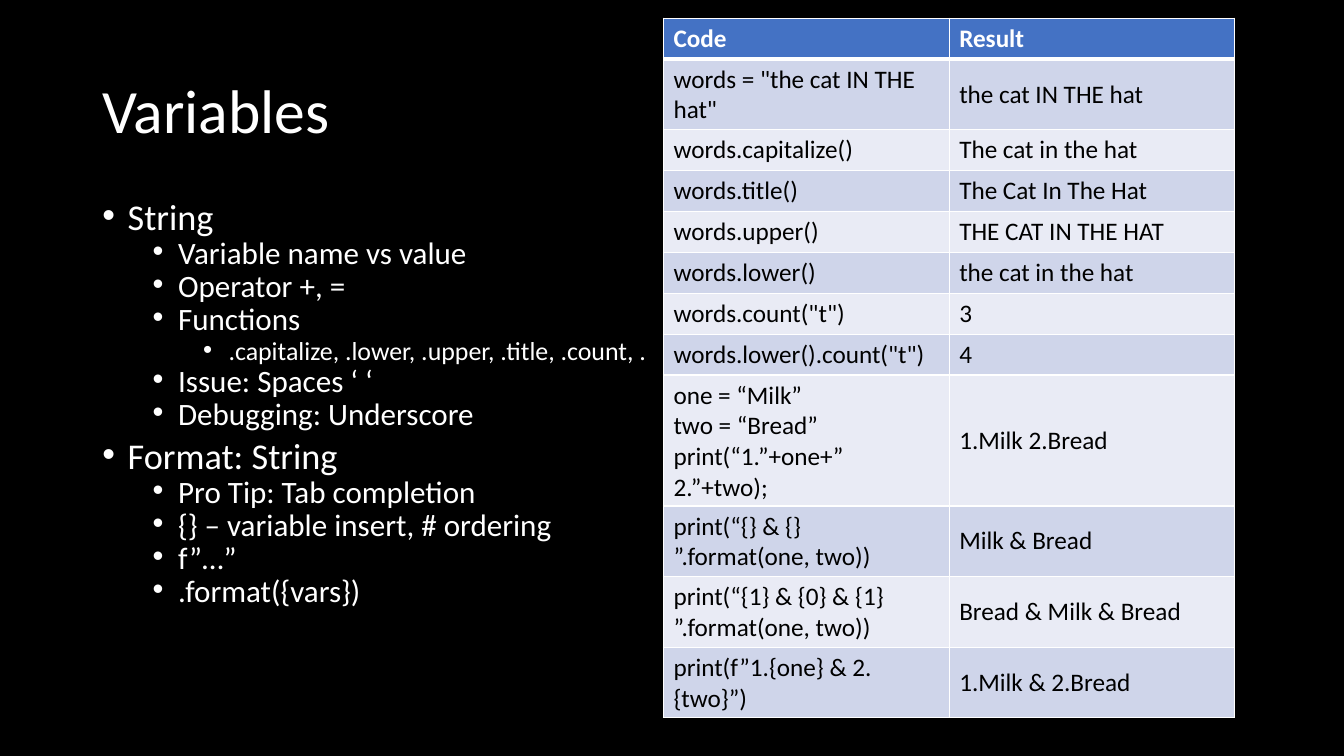
from lxml import etree
from pptx import Presentation
from pptx.dml.color import RGBColor
from pptx.enum import text
from pptx.oxml import ns
from pptx.util import Cm, Pt

FONT = "Calibri"
WHITE, BLACK, HEADER = "FFFFFF", "000000", "4472C4"
BANDS = ("CFD5EA", "E9EBF5")
LEVELS = ((25.9, 10), (22.2, 5), (18.5, 5))

TOPICS = (
    (0, "String"),
    (1, "Variable name vs value"),
    (1, "Operator +, ="),
    (1, "Functions"),
    (2, ".capitalize, .lower, .upper, .title, .count, ."),
    (1, "Issue: Spaces ‘ ‘"),
    (1, "Debugging: Underscore"),
    (0, "Format: String"),
    (1, "Pro Tip: Tab completion"),
    (1, "{} – variable insert, # ordering"),
    (1, "f”…”"),
    (1, ".format({vars})"),
)
EXAMPLES = (
    ("Code", "Result"),
    ('words = "the cat IN THE hat"', "the cat IN THE hat"),
    ("words.capitalize()", "The cat in the hat"),
    ("words.title()", "The Cat In The Hat"),
    ("words.upper()", "THE CAT IN THE HAT"),
    ("words.lower()", "the cat in the hat"),
    ('words.count("t")', "3"),
    ('words.lower().count("t")', "4"),
    ("one = “Milk”\ntwo = “Bread”\nprint(“1.”+one+” 2.”+two);", "1.Milk 2.Bread"),
    ("print(“{} & {} ”.format(one, two))", "Milk & Bread"),
    ("print(“{1} & {0} & {1} ”.format(one, two))", "Bread & Milk & Bread"),
    ("print(f”1.{one} & 2.{two}”)", "1.Milk & 2.Bread"),
)


def color(value):
    """Turn a hex string into a colour."""
    return RGBColor.from_string(value)


def style(paragraph, size, ink, bold=False):
    """Format every run of a paragraph."""
    for run in paragraph.runs:
        run.font.name, run.font.size, run.font.bold = FONT, Pt(size), bold
        run.font.color.rgb = color(ink)


def text_frame(slide, box):
    """Add a wrapping text box and return its frame."""
    frame = slide.shapes.add_textbox(*map(Cm, box)).text_frame
    frame.word_wrap = True
    return frame


def add_heading(slide, box):
    """Place the slide heading, centred vertically in its box."""
    heading = text_frame(slide, box)
    heading.vertical_anchor = text.MSO_ANCHOR.MIDDLE
    heading.text = "Variables"
    heading.paragraphs[0].line_spacing = 0.9
    style(heading.paragraphs[0], 44, WHITE)


def add_topics(slide, box):
    """Place the three-level bulleted topics."""
    outline = text_frame(slide, box)
    outline.text = "\n".join(topic for _, topic in TOPICS)
    for paragraph, (level, _) in zip(outline.paragraphs, TOPICS):
        size, gap = LEVELS[level]
        paragraph.level = level
        paragraph.line_spacing, paragraph.space_before = 0.7, Pt(gap)
        style(paragraph, size, WHITE)
        props = paragraph._p.get_or_add_pPr()
        props.set("marL", str(Cm(0.64 + 1.27 * level)))
        props.set("indent", str(-Cm(0.64)))
        etree.SubElement(props, ns.qn("a:buFont"), typeface="Arial")
        etree.SubElement(props, ns.qn("a:buChar"), char="•")


def add_borders(cell, top, bottom):
    """Draw white borders with the given top and bottom widths."""
    props = cell._tc.get_or_add_tcPr()
    for side, width in (("L", 1), ("R", 1), ("T", top), ("B", bottom)):
        line = etree.SubElement(props, ns.qn("a:ln" + side), w=str(Pt(width)))
        fill = etree.SubElement(line, ns.qn("a:solidFill"))
        etree.SubElement(fill, ns.qn("a:srgbClr"), val=WHITE)


def add_examples(slide, box):
    """Place the banded table of code and results."""
    examples = slide.shapes.add_table(len(EXAMPLES), 2, *map(Cm, box)).table
    for row, values in enumerate(EXAMPLES):
        header = row == 0
        for column, value in enumerate(values):
            cell = examples.cell(row, column)
            cell.text_frame.text = value
            cell.vertical_anchor = text.MSO_ANCHOR.MIDDLE
            add_borders(cell, 3 if row == 1 else 1, 3 if header else 1)
            cell.fill.solid()
            cell.fill.fore_color.rgb = color(HEADER if header else BANDS[(row - 1) % 2])
            for paragraph in cell.text_frame.paragraphs:
                style(paragraph, 18, WHITE if header else BLACK, header)


def add_variables_slide(deck):
    """Build the slide on string variables."""
    slide = deck.slides.add_slide(deck.slide_layouts[6])
    slide.background.fill.solid()
    slide.background.fill.fore_color.rgb = color(BLACK)
    add_heading(slide, (2.33, 1.01, 29.21, 3.68))
    add_topics(slide, (2.33, 5.07, 14.4, 12.09))
    add_examples(slide, (16.72, 0.46, 14.4, 12.36))


deck = Presentation()
deck.slide_width, deck.slide_height = Cm(33.87), Cm(19.05)
add_variables_slide(deck)
deck.save("out.pptx")
